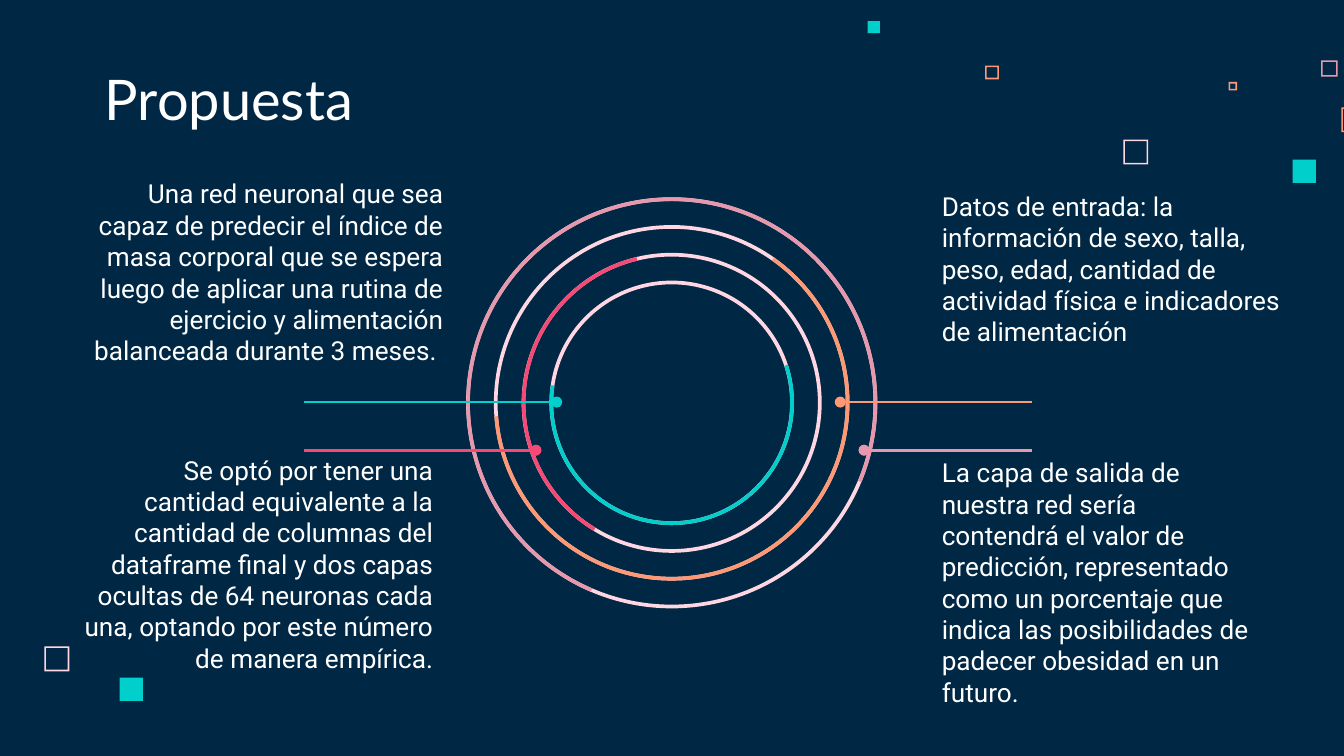
from dataclasses import dataclass

from lxml.etree import SubElement
from pptx import Presentation
from pptx.dml.color import RGBColor
from pptx.enum.shapes import MSO_CONNECTOR, MSO_SHAPE as Shape
from pptx.enum.text import MSO_ANCHOR as Anchor, PP_ALIGN as Align
from pptx.oxml.ns import qn
from pptx.util import Cm, Pt


@dataclass(frozen=True)
class Theme:
    background: str = "002845"
    text: str = "FFFFFF"
    blush: str = "FFD6E1"
    mauve: str = "E898AC"
    orange: str = "FF9973"
    red: str = "F64975"
    teal: str = "00CFCC"
    title_font: str = "Lato"
    body_font: str = "Roboto"
    title_size: int = 30
    body_size: int = 14
    pointer_width: float = 1.5  # points
    ring_width: float = 0.07  # cm, as are the two below
    square_border: float = 0.03
    inset: float = 0.25


T = Theme()

# Left, top, side, colour, hollow; places are relative to the region.
TOP_SQUARES = [
    (4.83, 2.24, 0.47, T.blush, True),
    (8.57, 0.74, 0.31, T.mauve, True),
    (6.82, 1.15, 0.16, T.orange, True),
    (8.95, 1.63, 0.47, T.orange, True),
    (8.03, 2.62, 0.44, T.teal, False),
    (2.22, 0.84, 0.26, T.orange, True),
    (0, 0, 0.23, T.teal, False),
]
BOTTOM_SQUARES = [
    (0, 0, 0.47, T.blush, True),
    (1.42, 0.59, 0.44, T.teal, False),
]

# Colour, rotation, start and end angle in degrees, from the outer ring inwards.
ARCS = [
    (T.mauve, 210, 263.2, 172.7),
    (T.orange, 0, 305.2, 175.6),
    (T.red, 81.2, 40.2, 175.2),
    (T.teal, 13.1, 328.7, 175.2),
]

# Box, alignment, anchor, text.
NOTES = [
    ((1.14, 3.18, 7.49, 3.99), Align.RIGHT, Anchor.BOTTOM,
     "Una red neuronal que sea capaz de predecir el índice de masa corporal "
     "que se espera luego de aplicar una rutina de ejercicio y alimentación "
     "balanceada durante 3 meses. "),
    ((17.55, 3.53, 7.11, 3.28), Align.LEFT, Anchor.BOTTOM,
     "Datos de entrada: la información de sexo, talla, peso, edad, cantidad "
     "de actividad física e indicadores de alimentación"),
    ((1.33, 8.33, 7.11, 5), Align.RIGHT, Anchor.TOP,
     "Se optó por tener una cantidad equivalente a la cantidad de columnas "
     "del dataframe final y dos capas ocultas de 64 neuronas cada una, "
     "optando por este número de manera empírica."),
    ((17.55, 8.38, 6.48, 5.08), Align.LEFT, Anchor.TOP,
     "La capa de salida de nuestra red sería contendrá el valor de "
     "predicción, representado como un porcentaje que indica las "
     "posibilidades de padecer obesidad en un futuro."),
]

# Outer end, ring end, height, colour; places are relative to the region.
POINTER_BOX = (5.74, 7.6, 13.77, 0.91)
POINTERS = [
    (0, 4.78, 0, T.teal),
    (0, 4.39, 0.91, T.red),
    (13.77, 10.14, 0, T.orange),
    (13.77, 10.59, 0.91, T.mauve),
]


def rgb(colour):
    return RGBColor.from_string(colour)


def add_filled(s, kind, box, colour, adjustments=()):
    sp = s.shapes.add_shape(kind, *map(Cm, box))
    sp.shadow.inherit = False
    sp.fill.solid()
    sp.fill.fore_color.rgb = rgb(colour)
    sp.line.fill.background()
    for i, value in enumerate(adjustments):
        sp.adjustments[i] = value
    return sp


def add_text(s, box, text, font, size, align, anchor):
    tf = s.shapes.add_textbox(*map(Cm, box)).text_frame
    tf.word_wrap = True
    tf.vertical_anchor = anchor
    tf.margin_left = tf.margin_right = Cm(T.inset)
    tf.margin_top = tf.margin_bottom = Cm(T.inset)
    tf.text = text
    p = tf.paragraphs[0]
    p.alignment = align
    p.font.name = font
    p.font.size = Pt(size)
    p.font.color.rgb = rgb(T.text)


def add_squares(s, box, squares):
    left, top, _, _ = box
    for x, y, side, colour, hollow in squares:
        square = (left + x, top + y, side, side)
        if hollow:
            add_filled(s, Shape.FRAME, square, colour, [T.square_border / side])
        else:
            add_filled(s, Shape.RECTANGLE, square, colour)


def add_rings(s, box, arcs, gap=0.525):
    """Nest one pale ring per arc, each a gap inside the last, under its arc."""
    left, top, size, _ = box
    for i, (colour, rotation, start, end) in enumerate(arcs):
        inset = i * gap
        diameter = size - 2 * inset
        ring = (left + inset, top + inset, diameter, diameter)
        thickness = T.ring_width / diameter
        add_filled(s, Shape.DONUT, ring, T.blush, [thickness])
        # Angles are stored in 60000ths of a degree, scaled here by 100000.
        arc = add_filled(s, Shape.BLOCK_ARC, ring, colour,
                         [start * 0.6, end * 0.6, thickness])
        arc.rotation = rotation


def add_pointers(s, box, pointers):
    """Draw level lines that end in a dot on their ring."""
    left, top, _, _ = box
    for outer, inner, y, colour in pointers:
        ends = (left + outer, top + y, left + inner, top + y)
        pointer = s.shapes.add_connector(MSO_CONNECTOR.STRAIGHT, *map(Cm, ends))
        pointer.line.color.rgb = rgb(colour)
        pointer.line.width = Pt(T.pointer_width)
        spPr = pointer._element.spPr
        SubElement(spPr.find(qn("a:ln")), qn("a:tailEnd"), type="oval")
        SubElement(spPr, qn("a:effectLst"))


def main():
    prs = Presentation()
    prs.slide_width, prs.slide_height = Cm(25.4), Cm(14.29)
    s = prs.slides.add_slide(prs.slide_layouts[6])
    s.background.fill.solid()
    s.background.fill.fore_color.rgb = rgb(T.background)

    add_squares(s, (16.4, 0.4, 9, 3.1), TOP_SQUARES)
    add_squares(s, (0.84, 12.22, 1.86, 1.03), BOTTOM_SQUARES)
    add_text(s, (1.73, 1.14, 13.13, 1.6), "Propuesta",
             T.title_font, T.title_size, Align.LEFT, Anchor.BOTTOM)
    for box, align, anchor, text in NOTES:
        add_text(s, box, text, T.body_font, T.body_size, align, anchor)
    add_rings(s, (8.81, 3.73, 7.77, 7.77), ARCS)
    add_pointers(s, POINTER_BOX, POINTERS)

    prs.save("out.pptx")


if __name__ == "__main__":
    main()
